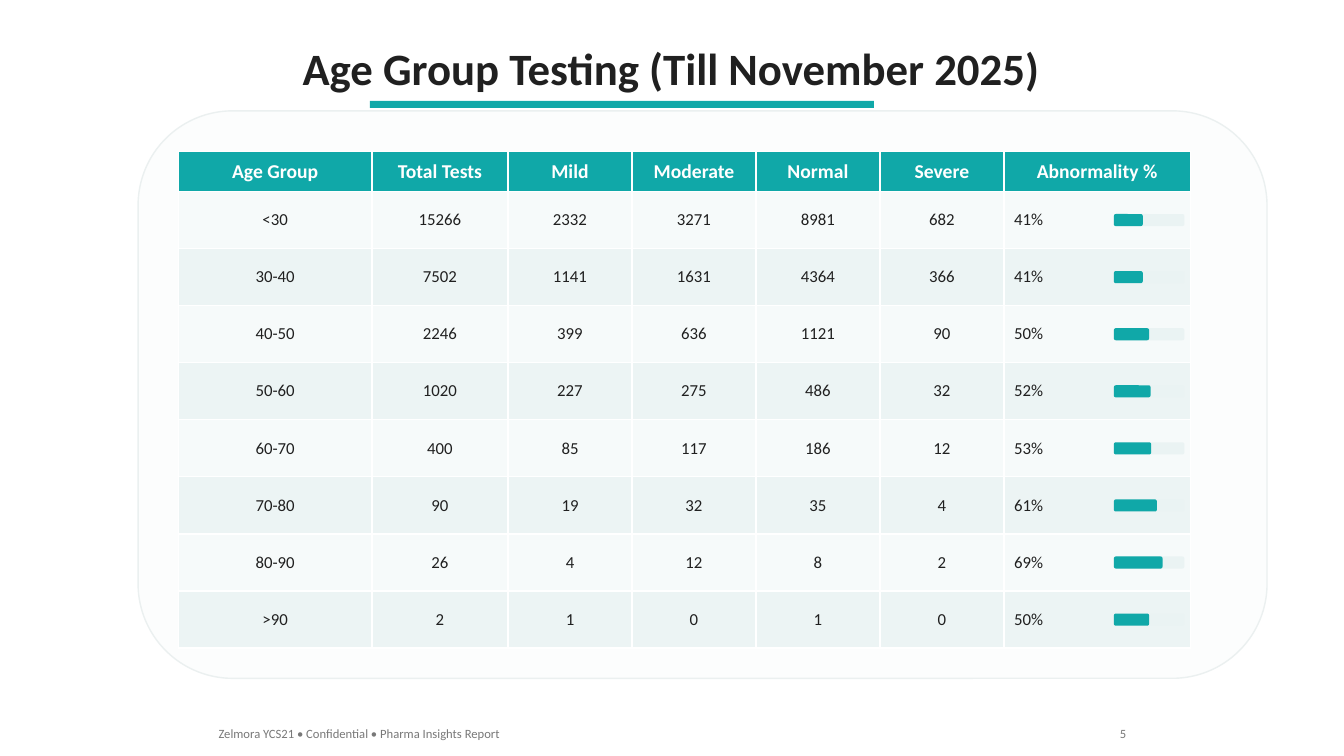
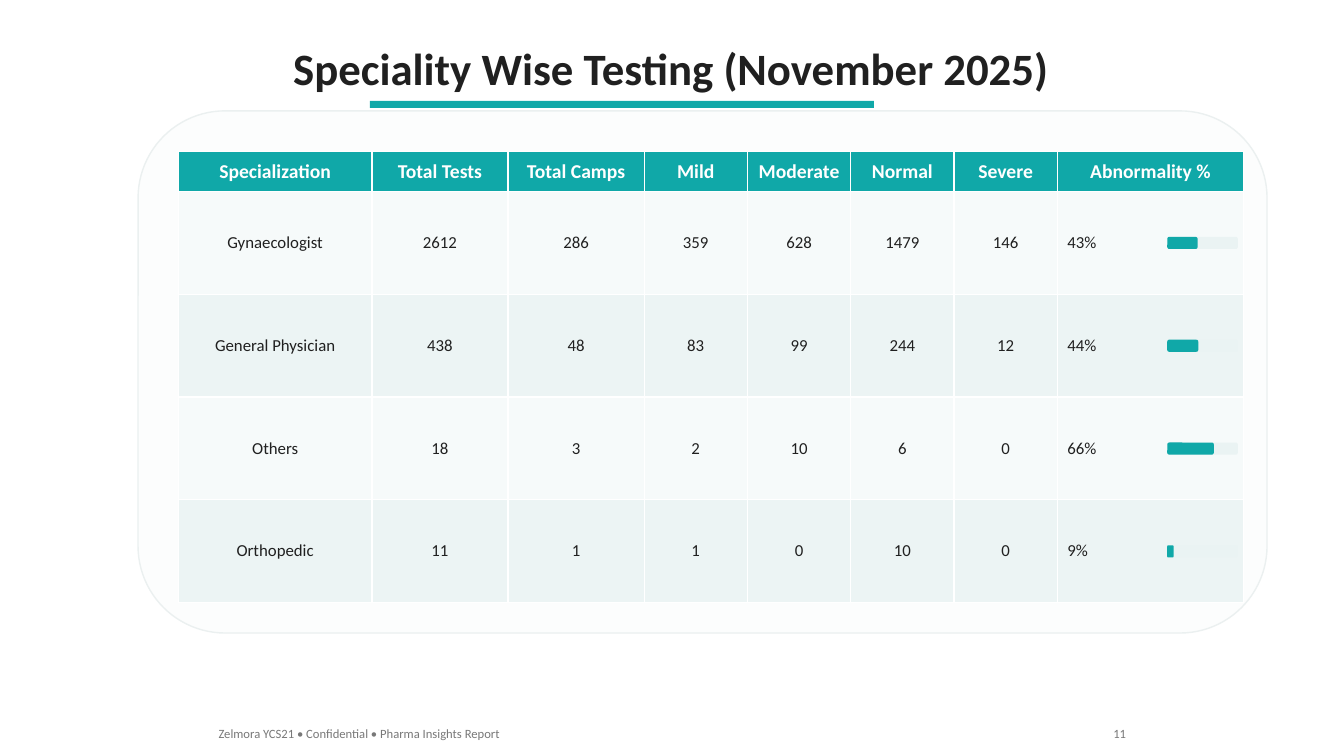
"""Build two slides of test counts, each a table with bars of abnormality."""
from pptx import Presentation
from pptx.dml.color import RGBColor
from pptx.enum.shapes import MSO_SHAPE
from pptx.enum.text import MSO_ANCHOR, PP_ALIGN
from pptx.util import Inches, Pt

RECT, ROUND = MSO_SHAPE.RECTANGLE, MSO_SHAPE.ROUNDED_RECTANGLE
LEFT, MID, RIGHT = PP_ALIGN.LEFT, PP_ALIGN.CENTER, PP_ALIGN.RIGHT
CENTRE = MSO_ANCHOR.MIDDLE

HUES = {
    "page": "FFFFFF", "teal": "10A8A8", "ink": "202020", "grey": "787878",
    "panel": "FCFDFD", "edge": "EBF0F0", "track": "EAF3F3",
    "odd": "F6FAFA", "even": "ECF4F4",
}
FORMS = {
    "title": ({"name": "Calibri", "size": Pt(32), "bold": True}, "ink"),
    "head": ({"name": "Calibri", "size": Pt(14), "bold": True}, "page"),
    "body": ({"name": "Calibri", "size": Pt(12), "bold": False}, "ink"),
    "foot": ({"name": "Calibri", "size": Pt(9), "bold": False}, "grey"),
}

COLS, ROWS = 133.33, 75
TABLE_X, TABLE_Y, HEAD = 17.7, 15, 4
FIRST, TOTAL, LAST = 19.2, 13.5, 18.5
PAD, PANEL_W = 4, 112
BAR_W, BAR_H, BAR_IN = 7, 1.2, 7.6
FOOT = "Zelmora YCS21 • Confidential • Pharma Insights Report"

PAGES = [
    {
        "title": "Age Group Testing (Till November 2025)",
        "page": 5, "wide": 100.4, "high": 49.3,
        "heads": ["Age Group", "Total Tests", "Mild", "Moderate",
                  "Normal", "Severe", "Abnormality %"],
        "rows": [
            ("<30", 15266, 2332, 3271, 8981, 682, 41),
            ("30-40", 7502, 1141, 1631, 4364, 366, 41),
            ("40-50", 2246, 399, 636, 1121, 90, 50),
            ("50-60", 1020, 227, 275, 486, 32, 52),
            ("60-70", 400, 85, 117, 186, 12, 53),
            ("70-80", 90, 19, 32, 35, 4, 61),
            ("80-90", 26, 4, 12, 8, 2, 69),
            (">90", 2, 1, 0, 1, 0, 50),
        ],
    },
    {
        "title": "Speciality Wise Testing (November 2025)",
        "page": 11, "wide": 105.7, "high": 44.8,
        "heads": ["Specialization", "Total Tests", "Total Camps", "Mild",
                  "Moderate", "Normal", "Severe", "Abnormality %"],
        "rows": [
            ("Gynaecologist", 2612, 286, 359, 628, 1479, 146, 43),
            ("General Physician", 438, 48, 83, 99, 244, 12, 44),
            ("Others", 18, 3, 2, 10, 6, 0, 66),
            ("Orthopedic", 11, 1, 1, 0, 10, 0, 9),
        ],
    },
]


def grid(*cells):
    """Turn grid columns and rows, ten to the inch, into lengths."""
    return [Inches(cell / 10) for cell in cells]


def hue(name):
    """Look up a colour by name."""
    return RGBColor.from_string(HUES[name])


def write(frame, text, form, align):
    """Put one line of text in a frame with a named format."""
    line = frame.paragraphs[0]
    line.alignment = align
    run = line.add_run()
    run.text = str(text)
    values, tint = FORMS[form]
    for key, value in values.items():
        setattr(run.font, key, value)
    run.font.color.rgb = hue(tint)


def label(slide, place, text, form, align):
    """Add a text box."""
    frame = slide.shapes.add_textbox(*grid(*place)).text_frame
    frame.word_wrap = True
    write(frame, text, form, align)


def block(slide, kind, place, fill, edge=None):
    """Add a flat shape with an optional outline."""
    shape = slide.shapes.add_shape(kind, *grid(*place))
    shape.shadow.inherit = False
    shape.fill.solid()
    shape.fill.fore_color.rgb = hue(fill)
    if edge:
        shape.line.color.rgb = hue(edge)
        shape.line.width = Pt(1)
    else:
        shape.line.fill.background()


def fill_cell(cell, text, form, fill, align):
    """Fill one table cell."""
    cell.fill.solid()
    cell.fill.fore_color.rgb = hue(fill)
    cell.vertical_anchor = CENTRE
    write(cell.text_frame, text, form, align)


def widths(page):
    """Give four equal columns what the fixed columns leave."""
    fixed = [FIRST] + [TOTAL] * (len(page["heads"]) - 6)
    return fixed + [(page["wide"] - sum(fixed) - LAST) / 4] * 4 + [LAST]


def add_grid(slide, page, step):
    """Add the table of counts."""
    heads, rows = page["heads"], page["rows"]
    place = grid(TABLE_X, TABLE_Y, page["wide"], page["high"])
    table = slide.shapes.add_table(len(rows) + 1, len(heads), *place).table
    for col, wide in zip(table.columns, grid(*widths(page))):
        col.width = wide
    highs = grid(HEAD, *[step] * len(rows))
    for row, high in zip(table.rows, highs):
        row.height = high
    for col, text in enumerate(heads):
        fill_cell(table.cell(0, col), text, "head", "teal", MID)
    for num, (*counts, rate) in enumerate(rows, 1):
        fill = "odd" if num % 2 else "even"
        for col, text in enumerate(counts):
            fill_cell(table.cell(num, col), text, "body", fill, MID)
        fill_cell(table.cell(num, len(counts)), f"{rate}%", "body", fill, LEFT)


def add_bars(slide, page, step):
    """Add a rate bar on its track in the last column of each row."""
    left = TABLE_X + page["wide"] - BAR_IN
    for num, row in enumerate(page["rows"]):
        top = TABLE_Y + HEAD + (num + 0.5) * step - BAR_H / 2
        for share, fill in ((1, "track"), (row[-1] / 100, "teal")):
            block(slide, ROUND, (left, top, BAR_W * share, BAR_H), fill)


def add_page(deck, page):
    """Add one slide with title, panel, table, bars and footer."""
    slide = deck.slides.add_slide(deck.slide_layouts[6])
    slide.background.fill.solid()
    slide.background.fill.fore_color.rgb = hue("page")
    step = (page["high"] - HEAD) / len(page["rows"])
    label(slide, (27.6, 3.5, 78, 6.4), page["title"], "title", MID)
    block(slide, RECT, (36.7, 10, 50, 0.7), "teal")
    panel = (TABLE_X - PAD, TABLE_Y - PAD, PANEL_W, page["high"] + 7)
    block(slide, ROUND, panel, "panel", "edge")
    add_grid(slide, page, step)
    add_bars(slide, page, step)
    label(slide, (20.7, 71.5, 32, 2.5), FOOT, "foot", LEFT)
    label(slide, (109.2, 71.5, 3.5, 2.5), page["page"], "foot", RIGHT)


def main():
    """Build and save the deck."""
    deck = Presentation()
    deck.slide_width, deck.slide_height = grid(COLS, ROWS)
    for page in PAGES:
        add_page(deck, page)
    deck.save("out.pptx")


if __name__ == "__main__":
    main()
